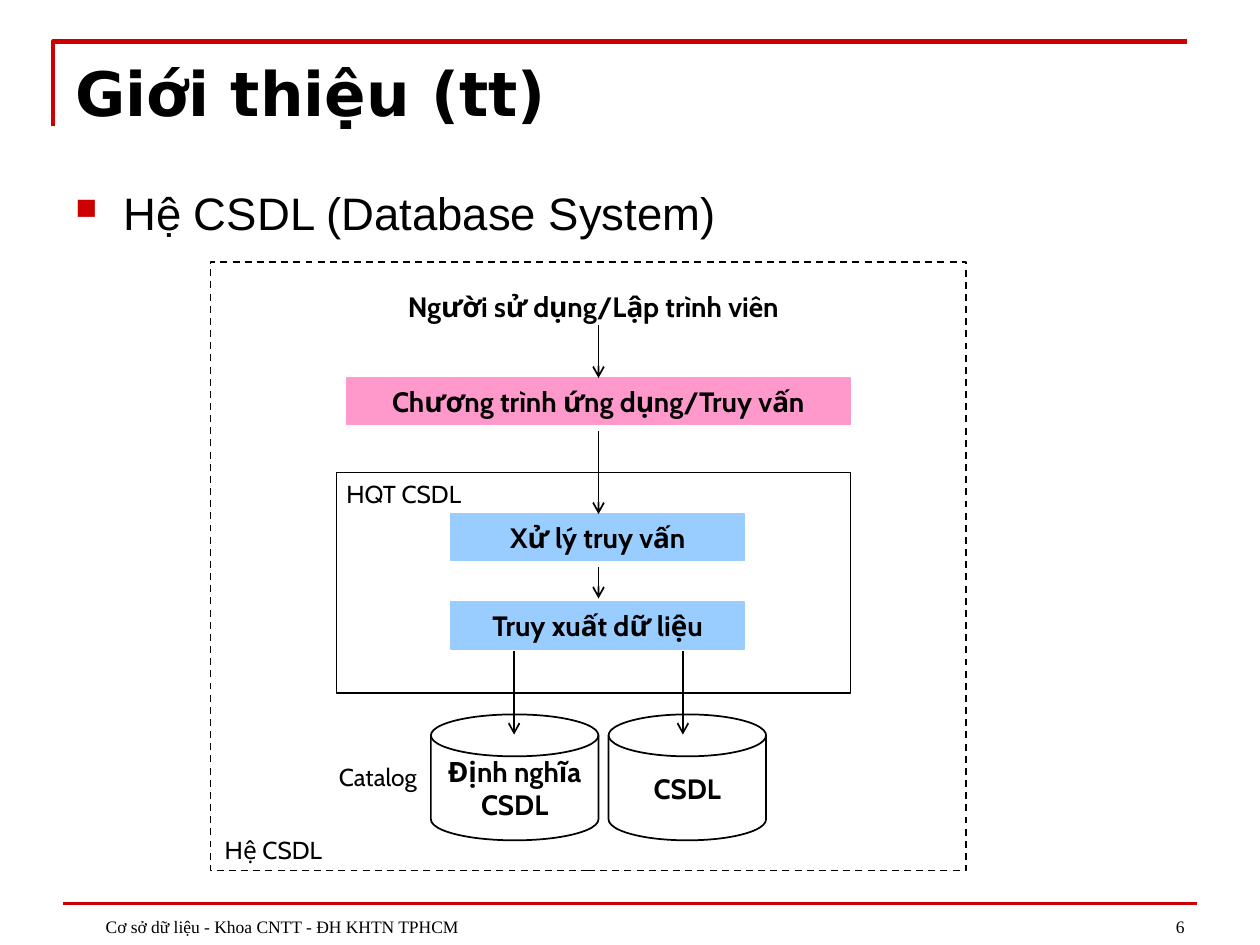
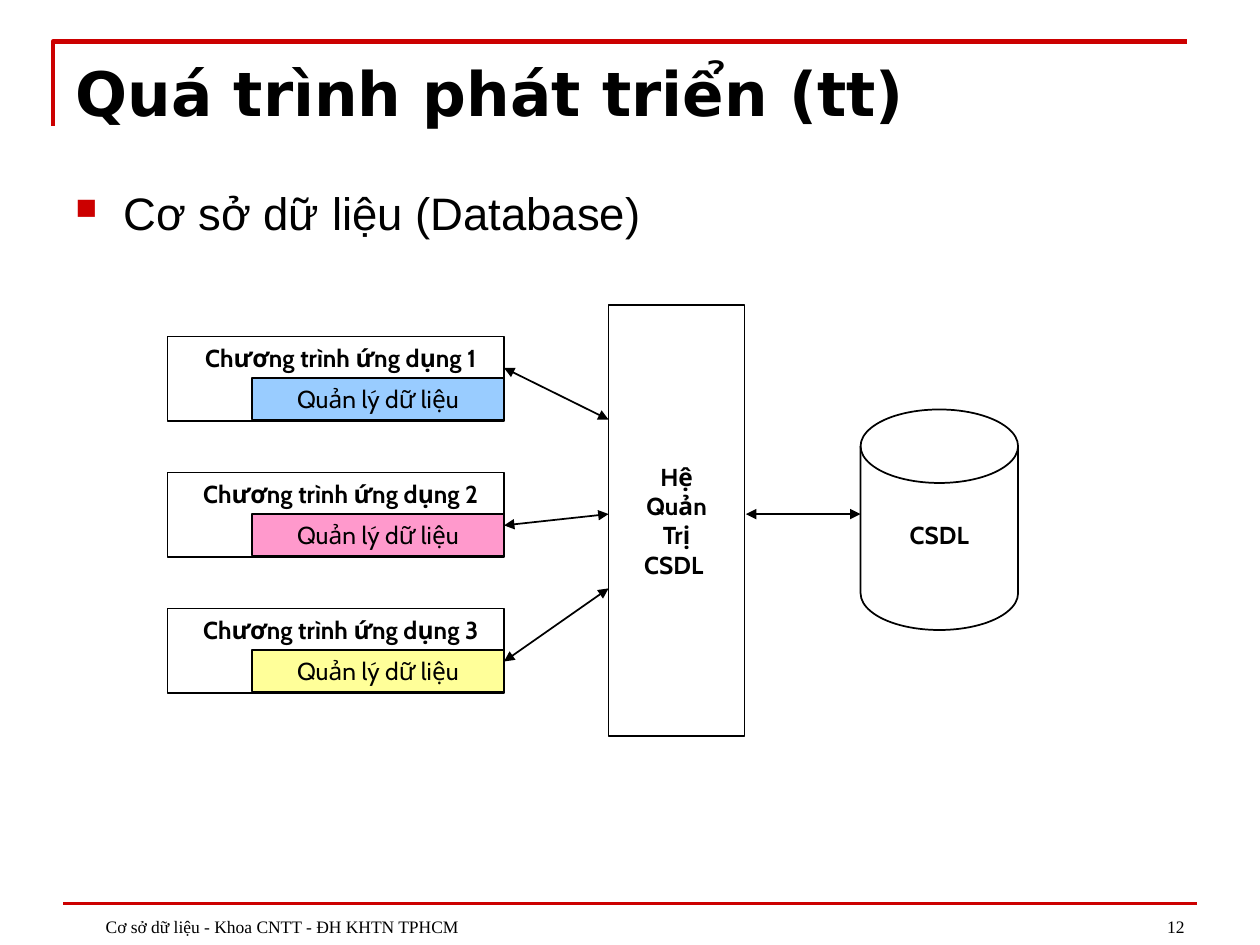
from lxml import etree
from pptx import Presentation
from pptx import util as u
from pptx.dml import color
from pptx.enum import dml, shapes, text
from pptx.oxml import ns

HUES = {"ink": "000000", "red": "CC0000", "blue": "99CCFF",
        "pink": "FF99CC", "lemon": "FFFF99"}
ALIGN = text.PP_ALIGN
ANCHOR = text.MSO_ANCHOR
RECT = shapes.MSO_SHAPE.RECTANGLE
DISK = shapes.MSO_SHAPE.FLOWCHART_MAGNETIC_DISK
FOOTER = "Cơ sở dữ liệu - Khoa CNTT - ĐH KHTN TPHCM"


def hue(name):
    return color.RGBColor.from_string(HUES[name])


def add(parent, tag, **attrs):
    return etree.SubElement(parent, ns.qn(tag), attrs)


class Deck:
    font = "Cabin"

    def __init__(self):
        self.prs = Presentation()
        self.prs.slide_width = u.Inches(10)
        self.prs.slide_height = u.Inches(7.5)

    def page(self, title, topic, number):
        self.slide = self.prs.slides.add_slide(self.prs.slide_layouts[6])
        self.frame()
        self.line((0.5, 7.17), (9.5, 7.17), tint="red", width=2)
        self.label(title, (0.5, 0.39, 9, 0.68), 35, True, ALIGN.LEFT,
                   font="DejaVu Sans")
        self.bullet(topic)
        self.foot(str(number), (7.17, 6.99, 2.33, 0.5), ALIGN.RIGHT)
        self.foot(FOOTER, (0.5, 6.99, 6.08, 0.5), ALIGN.LEFT)

    def frame(self):
        pen = self.slide.shapes.build_freeform(u.Inches(0.42), u.Inches(1))
        pen.add_line_segments([(u.Inches(0.42), u.Inches(0.33)),
                               (u.Inches(9.42), u.Inches(0.33))], close=False)
        shape = pen.convert_to_shape()
        shape.shadow.inherit = False
        shape.fill.background()
        self.stroke(shape.line, "red", 2.5)

    def stroke(self, line, tint, width=1):
        line.color.rgb = hue(tint)
        line.width = u.Pt(width)

    def words(self, shape, wording, size, bold, align, anchor, font=None, wrap=True):
        frame = shape.text_frame
        frame.word_wrap = wrap
        frame.vertical_anchor = anchor
        frame.text = wording
        for para in frame.paragraphs:
            para.alignment = align
            for run in para.runs:
                run.font.name = font or self.font
                run.font.size = u.Pt(size)
                run.font.bold = bold
                run.font.color.rgb = hue("ink")

    def label(self, wording, place, size=14, bold=False, align=ALIGN.CENTER,
              anchor=ANCHOR.TOP, font=None):
        box = self.slide.shapes.add_textbox(*map(u.Inches, place))
        self.words(box, wording, size, bold, align, anchor, font)
        return box.text_frame.paragraphs[0]

    def bullet(self, wording):
        para = self.label(wording, (0.5, 1.42, 9, 5.29), 26, False,
                          ALIGN.JUSTIFY, font="Arial")
        props = para._p.get_or_add_pPr()
        props.set("marL", str(u.Inches(0.38)))
        props.set("indent", str(-u.Inches(0.38)))
        add(add(props, "a:buClr"), "a:srgbClr", val=HUES["red"])
        add(props, "a:buSzPct", val="65000")
        add(props, "a:buChar", char="■")

    def foot(self, wording, place, align):
        para = self.label(wording, place, 10, False, align, ANCHOR.BOTTOM,
                          "Times New Roman")
        para._p.get_or_add_pPr().set("marL", str(u.Inches(0.24)))

    def shape(self, place, wording="", kind=RECT, fill=None, edge="ink", size=14,
              bold=False, anchor=ANCHOR.MIDDLE, wrap=False, dash=False):
        shape = self.slide.shapes.add_shape(kind, *map(u.Inches, place))
        shape.shadow.inherit = False
        if fill:
            shape.fill.solid()
            shape.fill.fore_color.rgb = hue(fill)
        else:
            shape.fill.background()
        self.stroke(shape.line, edge)
        if dash:
            shape.line.dash_style = dml.MSO_LINE.DASH
        if wording:
            self.words(shape, wording, size, bold, ALIGN.CENTER, anchor, wrap=wrap)

    def bar(self, wording, place, fill):
        self.shape(place, wording, fill=fill, edge=fill, size=16, bold=True,
                   anchor=ANCHOR.TOP, wrap=True)

    def line(self, start, end, head=None, tail=None, tint="ink", width=1):
        link = self.slide.shapes.add_connector(
            shapes.MSO_CONNECTOR.STRAIGHT, *map(u.Inches, start + end))
        self.stroke(link.line, tint, width)
        props = link._element.spPr
        stroke = props.find(ns.qn("a:ln"))
        for tag, tip in (("a:headEnd", head), ("a:tailEnd", tail)):
            if tip:
                add(stroke, tag, type=tip)
        add(props, "a:effectLst")


def system(deck):
    deck.page("Giới thiệu (tt)", "Hệ CSDL (Database System)", 6)
    deck.shape((2.67, 3.75, 4.08, 1.75))
    deck.bar("Xử lý truy vấn", (3.58, 4.08, 2.33, 0.37), "blue")
    deck.bar("Truy xuất dữ liệu", (3.58, 4.78, 2.33, 0.37), "blue")
    deck.bar("Chương trình ứng dụng/Truy vấn", (2.75, 3, 4, 0.37), "pink")
    deck.label("Người sử dụng/Lập trình viên", (2.67, 2.25, 4.08, 0.37), 16, True)
    for name, left, wide in (("CSDL", 4.83, 1.25), ("Định nghĩa\nCSDL", 3.42, 1.33)):
        deck.shape((left, 5.67, wide, 1), name, DISK, size=16, bold=True)
    for x, top, end in ((4.75, 2.58, 3), (4.75, 3.42, 4.08), (4.75, 4.5, 4.75),
                        (4.08, 5.17, 5.83), (5.42, 5.17, 5.83)):
        deck.line((x, top), (x, end), tail="arrow")
    deck.shape((1.67, 2.08, 6, 4.83), dash=True)
    for name, left, top, wide in (("HQT CSDL", 2.58, 3.75, 1.25),
                                  ("Hệ CSDL ", 1.67, 6.58, 1),
                                  ("Catalog", 2.5, 6, 1)):
        deck.label(name, (left, top, wide, 0.34))


def growth(deck):
    deck.page("Quá trình phát triển (tt)", "Cơ sở dữ liệu (Database)", 12)
    deck.shape((4.83, 2.42, 1.08, 3.42), "Hệ\nQuản\nTrị\nCSDL ", bold=True)
    for row, fill in enumerate(("blue", "pink", "lemon")):
        top = 2.67 + 1.08 * row
        deck.shape((1.33, top, 2.67, 0.67))
        deck.label(f"Chương trình ứng dụng {row + 1}", (1.33, top, 2.75, 0.34),
                   bold=True)
        deck.shape((2, top + 0.33, 2, 0.33), "Quản lý dữ liệu", fill=fill)
    for start, end in (((4, 2.92), (4.83, 3.33)), ((4, 4.17), (4.83, 4.08)),
                       ((4, 5.25), (4.83, 4.67)), ((5.92, 4.08), (6.83, 4.08))):
        deck.line(start, end, "triangle", "triangle")
    deck.shape((6.83, 3.25, 1.25, 1.75), kind=DISK)
    deck.label("CSDL", (6.83, 4.08, 1.25, 0.34), bold=True)


def main():
    deck = Deck()
    system(deck)
    growth(deck)
    deck.prs.save("out.pptx")


if __name__ == "__main__":
    main()
